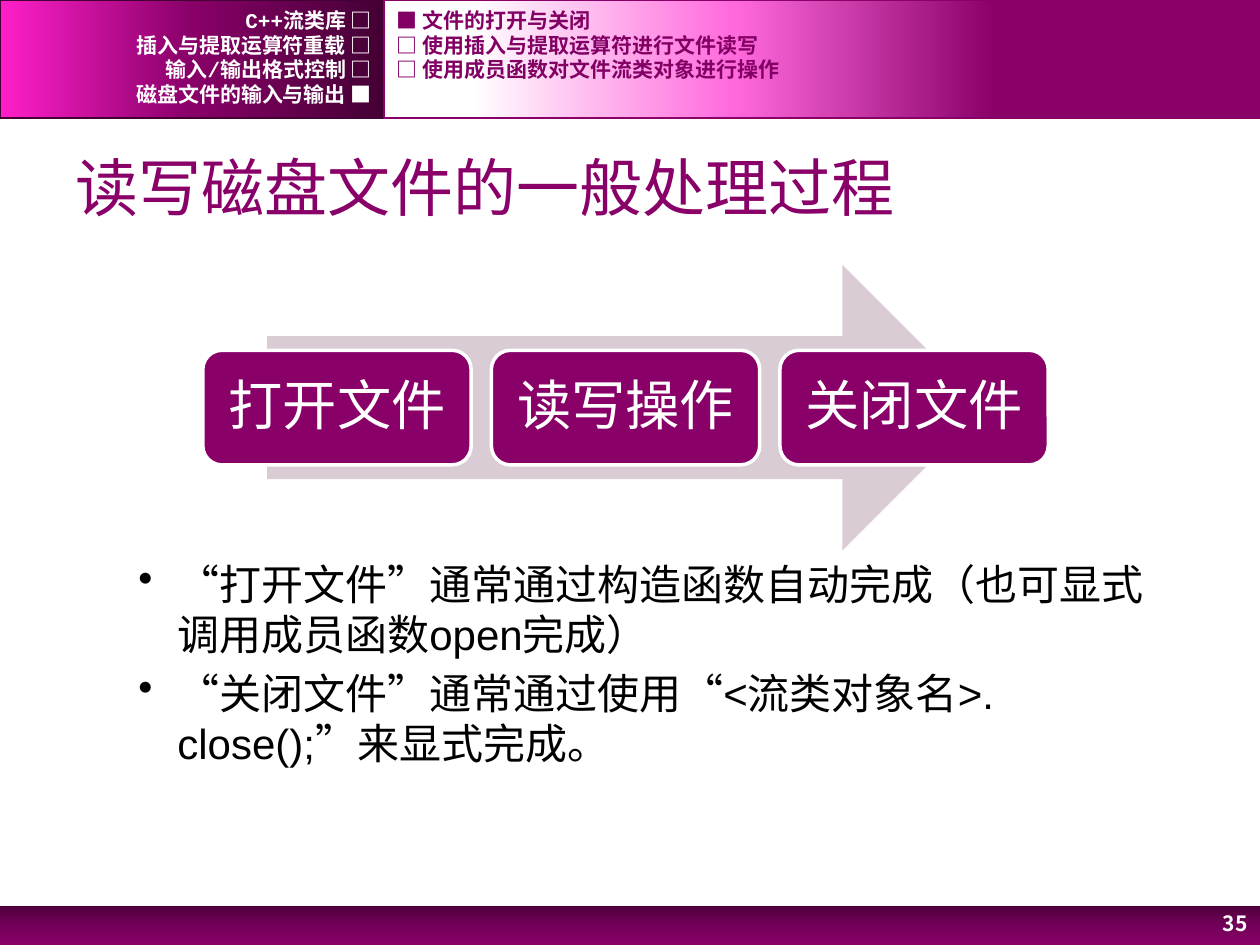
"""Build the slide on the general steps of reading and writing disk files."""
import pptx
import pptx.dml.color
import pptx.enum.lang
import pptx.enum.shapes
import pptx.enum.text
import pptx.oxml
import pptx.oxml.ns
import pptx.util

RGB = pptx.dml.color.RGBColor
SHAPE = pptx.enum.shapes.MSO_SHAPE
ALIGN = pptx.enum.text.PP_ALIGN
ANCHOR = pptx.enum.text.MSO_ANCHOR
PURPLE = RGB(0x88, 0x00, 0x68)
PLUM = RGB(0x82, 0x00, 0x64)
DARK = RGB(0x44, 0x00, 0x34)
DEEP = RGB(0x51, 0x00, 0x3E)
MID = RGB(0x73, 0x00, 0x58)
HOT = RGB(0xFF, 0x1F, 0xCA)
PINK = RGB(0xFF, 0x69, 0xDC)
PALE = RGB(0xDA, 0xCC, 0xD4)
WHITE = RGB(0xFF, 0xFF, 0xFF)
BLACK = RGB(0, 0, 0)

prs = pptx.Presentation()
prs.slide_width = pptx.util.Inches(10)
prs.slide_height = pptx.util.Inches(7.5)
COL = prs.slide_width / 100
ROW = prs.slide_height / 75
s = prs.slides.add_slide(prs.slide_layouts[6])


def add_box(x, y, w, h, kind=None):
    """Add a shape, or a text box without a kind, placed in grid units."""
    at = [int(v) for v in (x * COL, y * ROW, w * COL, h * ROW)]
    if kind is None:
        sp = s.shapes.add_textbox(*at)
    else:
        sp = s.shapes.add_shape(kind, *at)
        sp.shadow.inherit = False
        sp.line.fill.background()
    sp.text_frame.word_wrap = True
    sp.text_frame.vertical_anchor = ANCHOR.MIDDLE
    return sp


def write(sp, text, size, color, font="Arial", align=ALIGN.LEFT, bold=False):
    """Fill the text frame and format every run alike."""
    tf = sp.text_frame
    tf.text = text
    for p in tf.paragraphs:
        p.alignment = align
        for r in p.runs:
            r.font.name = font
            r.font.size = pptx.util.Pt(size)
            r.font.bold = bold
            r.font.color.rgb = color
            r.font.language_id = pptx.enum.lang.MSO_LANGUAGE_ID.SIMPLIFIED_CHINESE
    return tf


bands = [
    (0, 71.9, 100, 3.1, 270, None, [(0, DEEP), (50, MID), (100, PURPLE)]),
    (0, 0, 30.5, 9.4, 180, DARK, [(0, DARK), (50, PURPLE), (100, HOT)]),
    (30.5, 0, 69.5, 9.4, 180, PURPLE, [(30, PURPLE), (60, PINK), (90, WHITE)]),
]
for x, y, w, h, angle, line, stops in bands:
    sp = add_box(x, y, w, h, SHAPE.RECTANGLE)
    sp.fill.gradient()
    sp.fill.gradient_angle = angle
    gs_list = sp._element.spPr.find(".//" + pptx.oxml.ns.qn("a:gsLst"))
    for gs in list(gs_list):
        gs_list.remove(gs)
    for pos, color in stops:
        gs_list.append(pptx.oxml.parse_xml(
            f'<a:gs {pptx.oxml.ns.nsdecls("a")} pos="{pos * 1000}">'
            f'<a:srgbClr val="{color}"/></a:gs>'))
    if line is not None:
        sp.line.color.rgb = line
        sp.line.width = pptx.util.Pt(1)

write(add_box(5, 10.9, 90, 7.8), "读写磁盘文件的一般处理过程", 36, PURPLE)
write(add_box(91.8, 71.6, 8.2, 3.4), "35", 12, WHITE, "Noto Sans CJK SC", ALIGN.RIGHT, True)

chapters = ["C++流类库 □", "插入与提取运算符重载 □", "输入/输出格式控制 □", "磁盘文件的输入与输出 ■"]
sections = ["■ 文件的打开与关闭", "□ 使用插入与提取运算符进行文件读写", "□ 使用成员函数对文件流类对象进行操作"]
menus = [(0, 30.5, chapters, WHITE, ALIGN.RIGHT), (30.5, 60.2, sections, PLUM, ALIGN.LEFT)]
for x, w, items, color, align in menus:
    for i, item in enumerate(items):
        write(add_box(x, 0.6 + 1.96 * i, w, 2), item, 12, color, "Courier New", align, True)

sp = add_box(21.2, 21, 57, 22.7, SHAPE.RIGHT_ARROW)
sp.fill.solid()
sp.fill.fore_color.rgb = PALE
for i, step in enumerate(["打开文件", "读写操作", "关闭文件"]):
    sp = add_box(16.1 + 22.9 * i, 27.8, 21.3, 9.1, SHAPE.ROUNDED_RECTANGLE)
    sp.fill.solid()
    sp.fill.fore_color.rgb = PURPLE
    sp.line.color.rgb = WHITE
    sp.line.width = pptx.util.Pt(2)
    tf = write(sp, step, 31, WHITE, align=ALIGN.CENTER)
    tf.margin_left = tf.margin_right = int(1.3 * COL)
    tf.margin_top = tf.margin_bottom = int(1.3 * ROW)
    tf.paragraphs[0].line_spacing = 0.9
    tf.paragraphs[0].space_after = pptx.util.Pt(11)

notes = [
    "“打开文件”通常通过构造函数自动完成（也可显式调用成员函数open完成）",
    "“关闭文件”通常通过使用“<流类对象名>.close();”来显式完成。",
]
tf = write(add_box(5, 43.8, 90, 18.9), "\n".join(notes), 24, BLACK)
tf.vertical_anchor = ANCHOR.TOP
for p in tf.paragraphs:
    p.space_before = pptx.util.Pt(4.8)
    pPr = p._p.get_or_add_pPr()
    pPr.set("marL", str(int(8.1 * COL)))
    pPr.set("indent", str(int(-3.1 * COL)))
    pPr.append(pptx.oxml.parse_xml(f'<a:buChar {pptx.oxml.ns.nsdecls("a")} char="•"/>'))

prs.save("out.pptx")
